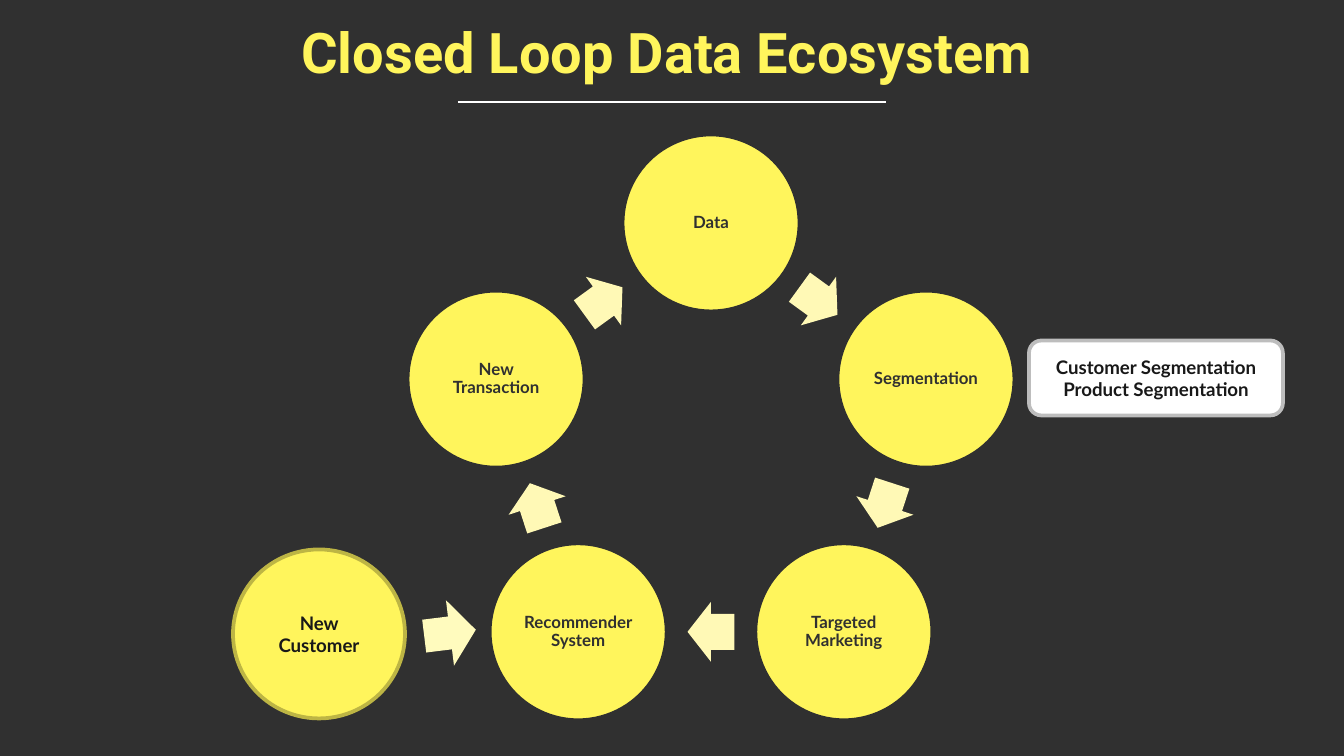
from math import cos, radians, sin

from lxml.etree import SubElement
from pptx import Presentation
from pptx.dml.color import RGBColor
from pptx.enum.shapes import MSO_CONNECTOR, MSO_SHAPE
from pptx.enum.text import MSO_ANCHOR, PP_ALIGN
from pptx.oxml.ns import qn
from pptx.util import Emu, Pt

YELLOW, DARK, WHITE, INK = "FFF55C", "303030", "FFFFFF", "181818"


def px(length):
    return Emu(round(length * 914400 / 134.4))


def color(value):
    return RGBColor.from_string(value)


class Canvas:
    """Holds the current slide and the style of its elements."""

    def __init__(self, slide, font="Lato"):
        self.slide = slide
        self.font = font

    def background(self, fill):
        self.slide.background.fill.solid()
        self.slide.background.fill.fore_color.rgb = color(fill)

    def set_text(self, shape, lines, size, text_color, inset=13, font=None,
                 anchor=MSO_ANCHOR.MIDDLE, spacing=None, after=None):
        frame = shape.text_frame
        frame.word_wrap = True
        frame.vertical_anchor = anchor
        frame.margin_left = frame.margin_right = px(inset)
        frame.margin_top = frame.margin_bottom = px(inset)
        frame.text = "\n".join(lines)
        for paragraph in frame.paragraphs:
            paragraph.alignment = PP_ALIGN.CENTER
            if spacing:
                paragraph.line_spacing = spacing
            if after:
                paragraph.space_after = Pt(after)
            paragraph.font.name = font or self.font
            paragraph.font.size = Pt(size)
            paragraph.font.bold = True
            paragraph.font.color.rgb = color(text_color)

    def text(self, left, top, width, height, lines, size, text_color, **style):
        box = self.slide.shapes.add_textbox(px(left), px(top), px(width), px(height))
        self.set_text(box, lines, size, text_color, **style)

    def shape(self, kind, center_x, center_y, width, height, fill, outline=None):
        shape = self.slide.shapes.add_shape(
            kind, px(center_x - width / 2), px(center_y - height / 2), px(width), px(height))
        shape.shadow.inherit = False
        shape.fill.solid()
        shape.fill.fore_color.rgb = color(fill)
        if outline:
            shape.line.color.rgb = color(outline)
            shape.line.width = Pt(2)
        else:
            shape.line.fill.background()
        return shape

    def arrow(self, center_x, center_y, width, height, fill, rotation, shaft=0.5):
        arrow = self.shape(MSO_SHAPE.RIGHT_ARROW, center_x, center_y, width, height, fill)
        arrow.adjustments[0] = shaft
        arrow.rotation = rotation

    def rule(self, left, right, y, line_color):
        rule = self.slide.shapes.add_connector(
            MSO_CONNECTOR.STRAIGHT, px(left), px(y), px(right), px(y))
        rule.line.color.rgb = color(line_color)
        rule.line.width = Pt(0.75)
        SubElement(rule._element.spPr, qn("a:effectLst"))


def main():
    presentation = Presentation()
    presentation.slide_width = px(1344)
    presentation.slide_height = px(756)
    canvas = Canvas(presentation.slides.add_slide(presentation.slide_layouts[6]))
    canvas.background(DARK)

    # Title and underline
    canvas.text(261, 5, 812, 112, ["Closed Loop Data Ecosystem"], 30, YELLOW,
                font="Roboto", anchor=MSO_ANCHOR.TOP)
    canvas.rule(458, 886, 102, WHITE)

    # Loop: stages on a ring, each followed by an arrow halfway to the next
    stages = ["Data", "Segmentation", "Targeted Marketing",
              "Recommender System", "New Transaction"]
    center_x, center_y, radius = 711, 449, 226
    step = 360 / len(stages)
    arrow_radius = radius * cos(radians(step / 2))
    label = 125
    for index, stage in enumerate(stages):
        angle = radians(index * step)
        x, y = center_x + radius * sin(angle), center_y - radius * cos(angle)
        canvas.shape(MSO_SHAPE.OVAL, x, y, 177, 177, YELLOW, DARK)
        canvas.text(x - label / 2, y - label / 2, label, label, [stage], 9, DARK,
                    inset=1, spacing=0.9, after=3)
        turn = (index + 0.5) * step
        canvas.arrow(center_x + arrow_radius * sin(radians(turn)),
                     center_y - arrow_radius * cos(radians(turn)),
                     47, 60, "FFF9B6", turn, shaft=0.6)

    # Segmentation note
    note = canvas.shape(MSO_SHAPE.ROUNDED_RECTANGLE, 1156, 378, 254, 75, WHITE, "BDBDBD")
    canvas.set_text(note, ["Customer Segmentation", "Product Segmentation"], 10, INK)

    # New customer entering the loop
    customer = canvas.shape(MSO_SHAPE.OVAL, 319, 634, 172, 169, YELLOW, "BDB544")
    canvas.set_text(customer, ["New Customer"], 10, INK)
    canvas.arrow(450, 633, 52, 66, "FFFBBE", 353)

    presentation.save("out.pptx")


if __name__ == "__main__":
    main()
